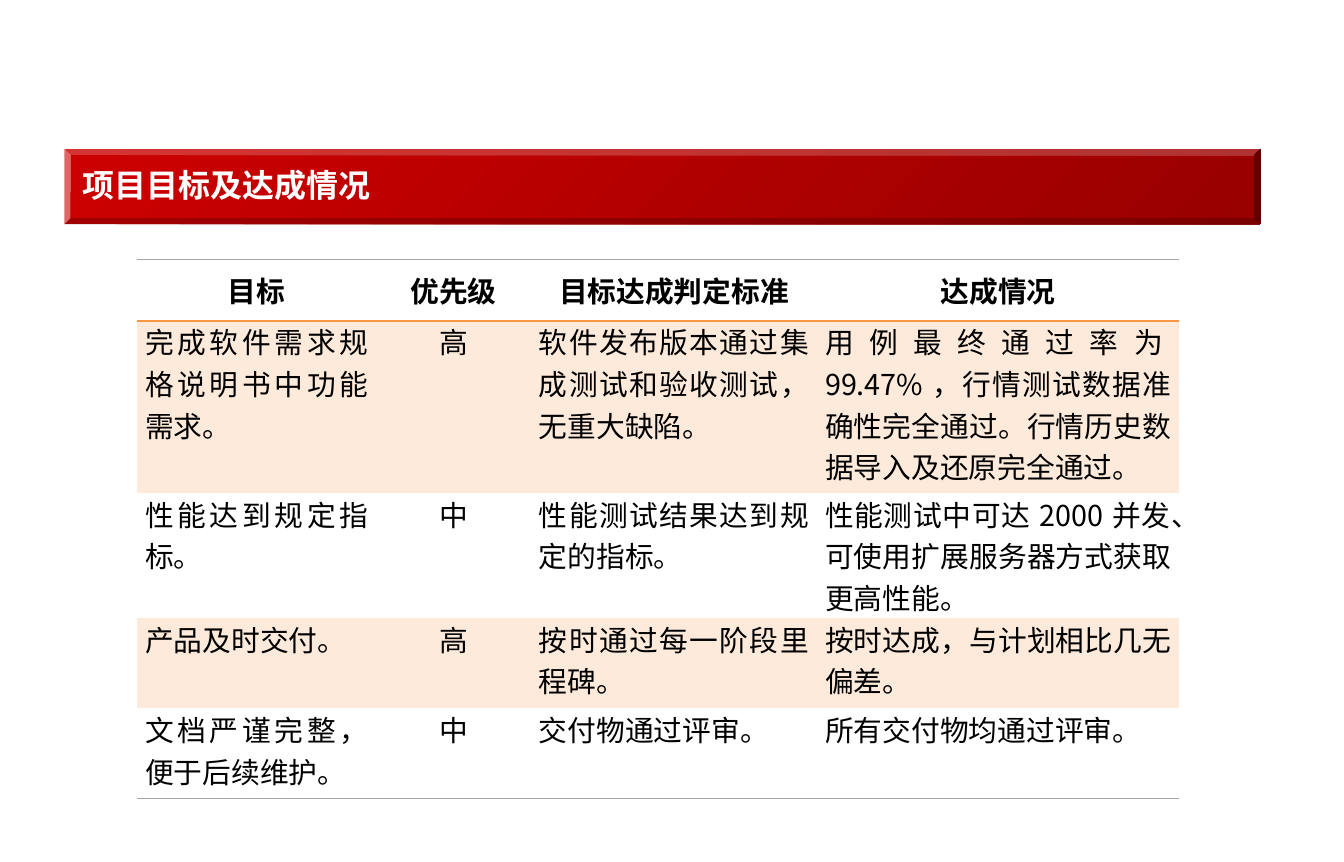
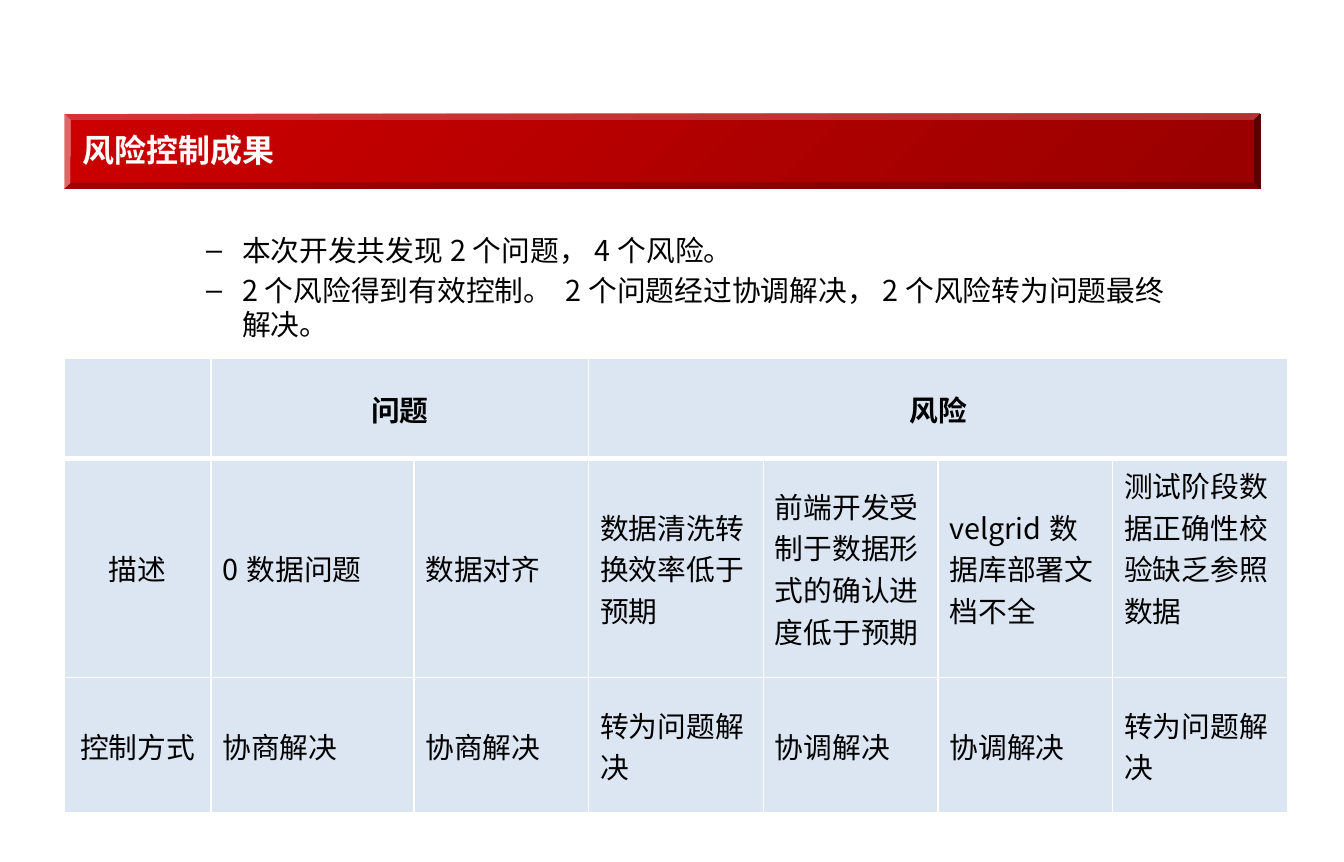
from lxml.etree import SubElement
from pptx import Presentation
from pptx.dml.color import RGBColor
from pptx.enum.shapes import MSO_SHAPE as SHAPE
from pptx.enum.text import MSO_ANCHOR as ANCHOR, MSO_AUTO_SIZE as AUTO_SIZE, PP_ALIGN as ALIGN
from pptx.oxml.ns import qn
from pptx.util import Inches, Pt

BLACK = RGBColor(0x00, 0x00, 0x00)
WHITE = RGBColor(0xFF, 0xFF, 0xFF)
RED = RGBColor(0xCC, 0x00, 0x00)
DARK_RED = RGBColor(0x99, 0x00, 0x00)
ORANGE = RGBColor(0xF7, 0x96, 0x46)
PEACH = RGBColor(0xFD, 0xEA, 0xDA)
GRAY = RGBColor(0xA6, 0xA6, 0xA6)
PALE_BLUE = RGBColor(0xDC, 0xE6, 0xF2)
CJK_FONT = "Noto Sans CJK SC"
PLAIN_TABLE = "{2D5ABB26-0587-4C30-8999-92F81FD0307C}"

prs = Presentation()
prs.slide_width, prs.slide_height = Inches(11.69), Inches(7.5)
# Grid of 100 columns by 100 rows
COL, ROW = prs.slide_width / 100, prs.slide_height / 100
MARGIN, INDENT = 4.8, 10.2
BAND_WIDTH, BAND_HEIGHT = 89, 8.7
CONTENT_WIDTH = 77.6


def format_text(frame, size=18, color=BLACK, bold=False, font=CJK_FONT, align=None):
    for paragraph in frame.paragraphs:
        paragraph.alignment = align
        for run in paragraph.runs:
            run.font.size, run.font.bold, run.font.name = Pt(size), bold, font
            run.font.color.rgb = color
            SubElement(run._r.get_or_add_rPr(), qn("a:ea"), typeface=CJK_FONT)


def add_border(cell, side, color, width):
    """Draw one edge of a cell; side is L, R, T or B, called in that order."""
    line = SubElement(cell._tc.get_or_add_tcPr(), qn(f"a:ln{side}"), w=str(Pt(width)))
    fill = SubElement(line, qn("a:solidFill"))
    SubElement(fill, qn("a:srgbClr"), val=str(color))


thin_white, thick_white = (WHITE, 1), (WHITE, 3)
sides = {"L": thin_white, "R": thin_white}

goals = {
    "layout": 5,
    "title": "项目目标及达成情况", "title_font": CJK_FONT, "band_top": 17.3,
    "left": INDENT, "top": 30.1,
    "columns": [17.8, 11.5, 21.3, 26.95],
    "heights": [7.1, 20, 10.5, 10.5, 10.5],
    "rows": [
        ["目标", "优先级", "目标达成判定标准", "达成情况"],
        ["完成软件需求规格说明书中功能需求。", "高",
         "软件发布版本通过集成测试和验收测试，无重大缺陷。",
         "用例最终通过率为99.47%，行情测试数据准确性完全通过。行情历史数据导入及还原完全通过。"],
        ["性能达到规定指标。", "中", "性能测试结果达到规定的指标。",
         "性能测试中可达2000并发、可使用扩展服务器方式获取更高性能。"],
        ["产品及时交付。", "高", "按时通过每一阶段里程碑。", "按时达成，与计划相比几无偏差。"],
        ["文档严谨完整，便于后续维护。", "中", "交付物通过评审。", "所有交付物均通过评审。"],
    ],
    "header_fonts": ["Arial", "Arial", "Arial", "Calibri"],
    "fills": [None, PEACH, None, PEACH, None],
    "borders": [{"T": (GRAY, 0.75), "B": (ORANGE, 1.5)}, {}, {}, {}, {"B": (GRAY, 0.75)}],
    "centred_column": 1, "body_align": ALIGN.JUSTIFY, "body_anchor": ANCHOR.TOP,
    "cell_margins": (0.07, 0), "merges": [],
}
risks = {
    "layout": 1,
    "title": "风险控制成果", "title_font": "Arial", "band_top": 13.2,
    "points": ["本次开发共发现2个问题，4个风险。",
               "2个风险得到有效控制。 2个问题经过协调解决，2个风险转为问题最终解决。"],
    "left": MARGIN, "top": 41.6,
    "columns": [10.9, 15.1] + [13] * 5,
    "heights": [11.6, 25.3, 15.7],
    "rows": [
        ["", "问题", "", "风险", "", "", ""],
        ["描述", "0数据问题", "数据对齐", "数据清洗转换效率低于预期",
         "前端开发受制于数据形式的确认进度低于预期", "velgrid数据库部署文档不全",
         "测试阶段数据正确性校验缺乏参照数据"],
        ["控制方式", "协商解决", "协商解决", "转为问题解决", "协调解决", "协调解决", "转为问题解决"],
    ],
    "header_fonts": [CJK_FONT] * 7,
    "fills": [PALE_BLUE] * 3,
    "borders": [sides | {"T": thin_white, "B": thick_white},
                sides | {"T": thick_white, "B": thin_white},
                sides | {"T": thin_white, "B": thin_white}],
    "centred_column": 0, "body_align": ALIGN.LEFT, "body_anchor": ANCHOR.MIDDLE,
    "cell_margins": (0.1, 0.05), "merges": [(1, 2), (3, 6)],
}

for content in (goals, risks):
    slide = prs.slides.add_slide(prs.slide_layouts[content["layout"]])

    # Red band with the title on it
    box = [int(MARGIN * COL), int(content["band_top"] * ROW),
           int(BAND_WIDTH * COL), int(BAND_HEIGHT * ROW)]
    band = slide.shapes.add_shape(SHAPE.BEVEL, *box)
    band.adjustments[0] = 0.08
    band.shadow.inherit = False
    band.line.fill.background()
    band.fill.gradient()
    band.fill.gradient_angle = 315
    for stop, color in zip(band.fill.gradient_stops, (RED, DARK_RED)):
        stop.color.rgb = color
    title = slide.shapes.title
    title._element.addprevious(band._element)
    title.left, title.top, title.width, title.height = box
    heading = title.text_frame
    heading.text = content["title"]
    heading.margin_left = Inches(0.16)
    heading.vertical_anchor = ANCHOR.MIDDLE
    heading.auto_size = AUTO_SIZE.NONE
    heading.paragraphs[0].line_spacing = 0.95
    format_text(heading, 20, WHITE, True, content["title_font"], ALIGN.LEFT)

    # Summary list
    if "points" in content:
        summary = slide.placeholders[1]
        summary.left, summary.top = int(INDENT * COL), int(26.3 * ROW)
        summary.width, summary.height = int(CONTENT_WIDTH * COL), int(63.6 * ROW)
        summary.text_frame.text = "\n".join(content["points"])
        summary.text_frame.auto_size = AUTO_SIZE.NONE
        for point in summary.text_frame.paragraphs:
            point.level = 1
        format_text(summary.text_frame)

    # Table
    columns, heights = content["columns"], content["heights"]
    table = slide.shapes.add_table(
        len(heights), len(columns), int(content["left"] * COL), int(content["top"] * ROW),
        int(sum(columns) * COL), int(sum(heights) * ROW)).table
    table._tbl.tblPr.find(qn("a:tableStyleId")).text = PLAIN_TABLE
    table.horz_banding = False
    for column, width in zip(table.columns, columns):
        column.width = int(width * COL)
    for row, height in zip(table.rows, heights):
        row.height = int(height * ROW)

    side_margin, end_margin = content["cell_margins"]
    for r, texts in enumerate(content["rows"]):
        for c, text in enumerate(texts):
            cell = table.cell(r, c)
            header = r == 0
            cell.text_frame.text = text
            centred = header or c == content["centred_column"]
            format_text(cell.text_frame, bold=header,
                        font=content["header_fonts"][c] if header else CJK_FONT,
                        align=ALIGN.CENTER if centred else content["body_align"])
            cell.vertical_anchor = ANCHOR.MIDDLE if header else content["body_anchor"]
            cell.margin_left = cell.margin_right = Inches(side_margin)
            cell.margin_top = cell.margin_bottom = Inches(end_margin)
            for side, (color, width) in content["borders"][r].items():
                add_border(cell, side, color, width)
            if content["fills"][r] is None:
                cell.fill.background()
            else:
                cell.fill.solid()
                cell.fill.fore_color.rgb = content["fills"][r]
    for first, last in content["merges"]:
        table.cell(0, first).merge(table.cell(0, last))

# The last risk sits one line higher than its neighbours
table.cell(1, 6).margin_bottom = Inches(0.41)

prs.save("out.pptx")
